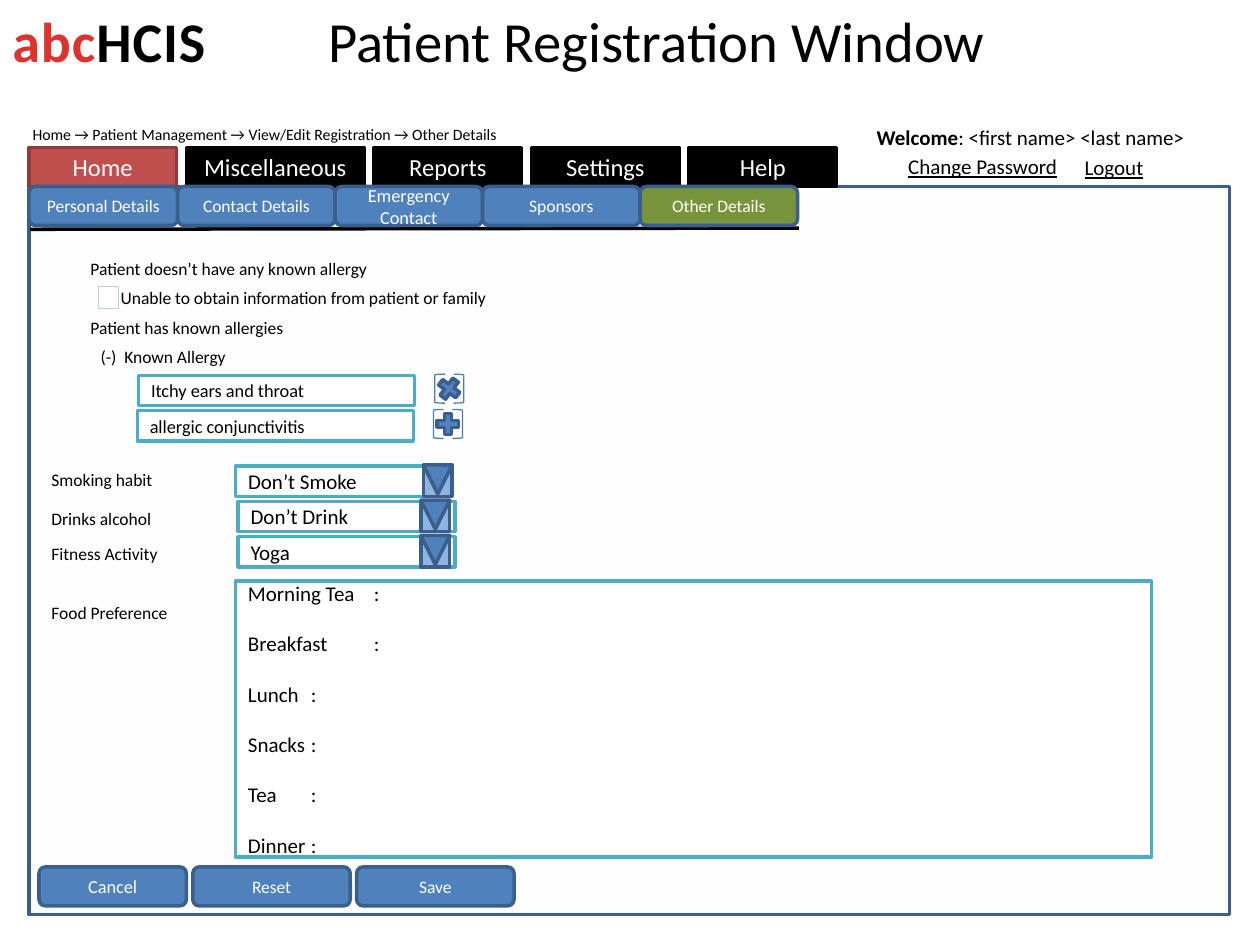
"""Build the patient registration window, open on its Other Details tab."""
from dataclasses import dataclass

from lxml import etree
from pptx import Presentation
from pptx.dml.color import RGBColor
from pptx.enum.shapes import MSO_CONNECTOR, MSO_SHAPE
from pptx.enum.text import MSO_ANCHOR, PP_ALIGN
from pptx.oxml.ns import qn
from pptx.util import Inches, Pt

RECT, ROUND = MSO_SHAPE.RECTANGLE, MSO_SHAPE.ROUNDED_RECTANGLE
PLUS, MERGE = MSO_SHAPE.MATH_PLUS, MSO_SHAPE.FLOWCHART_MERGE
LEFT_BRACKET, RIGHT_BRACKET = MSO_SHAPE.LEFT_BRACKET, MSO_SHAPE.RIGHT_BRACKET
STRAIGHT = MSO_CONNECTOR.STRAIGHT
TOP, MIDDLE = MSO_ANCHOR.TOP, MSO_ANCHOR.MIDDLE
LEFT, CENTER = PP_ALIGN.LEFT, PP_ALIGN.CENTER


@dataclass(frozen=True)
class Theme:
    font: str = "Calibri"
    black: str = "000000"
    white: str = "FFFFFF"
    panel: str = "F2F2F2"
    blue: str = "4F81BD"
    navy: str = "3A5F8C"
    sky: str = "8EB4E3"
    pale: str = "B9CDE5"
    bracket: str = "4B7EBC"
    teal: str = "4BACC6"
    red: str = "C0504D"
    dark_red: str = "8E3B39"
    green: str = "77933C"
    logo_red: str = "E0322D"
    title_size: float = 32.4
    logo_size: float = 32
    menu_size: float = 14
    entry_size: float = 12
    allergy_size: float = 10.5
    label_size: float = 10
    trail_size: float = 9


theme = Theme()


def draw(shapes, kind, at, fill, line, width=2):
    shape = shapes.add_shape(kind, *map(Inches, at))
    shape.shadow.inherit = False
    if fill:
        shape.fill.solid()
        shape.fill.fore_color.rgb = RGBColor.from_string(fill)
    else:
        shape.fill.background()
    shape.line.color.rgb = RGBColor.from_string(line)
    shape.line.width = Pt(width)
    return shape


def write(shape, text, size, color=theme.black, align=LEFT, anchor=MIDDLE, wrap=True):
    frame = shape.text_frame
    frame.word_wrap = wrap
    frame.vertical_anchor = anchor
    frame.text = text
    for paragraph in frame.paragraphs:
        paragraph.alignment = align
        for run in paragraph.runs:
            run.font.name = theme.font
            run.font.size = Pt(size)
            run.font.color.rgb = RGBColor.from_string(color)
    return frame.paragraphs[0]


presentation = Presentation()
presentation.slide_width, presentation.slide_height = Inches(10), Inches(7.5)
slide = presentation.slides.add_slide(presentation.slide_layouts[6])
shapes = slide.shapes

logo = write(shapes.add_textbox(*map(Inches, (0, 0, 2.03, 0.64))), "abc",
             theme.logo_size, theme.logo_red, anchor=TOP)
logo.add_run().text = "HCIS"
logo.runs[1].font.name = theme.font
logo.runs[1].font.size = Pt(theme.logo_size)
logo.runs[1].font.color.rgb = RGBColor.from_string(theme.black)
for run in logo.runs:
    run.font.bold = True
    run.font._element.set("spc", "50")

write(shapes.add_textbox(*map(Inches, (1.67, 0.08, 7.08, 0.47))),
      "Patient Registration Window", theme.title_size, align=CENTER)

panel = draw(shapes, RECT, (0.23, 1.48, 9.53, 5.78), theme.panel, theme.navy)
panel_color = panel._element.spPr.find(qn("a:solidFill"))[0]
etree.SubElement(panel_color, qn("a:alpha")).set("val", "4000")

welcome = write(shapes.add_textbox(*map(Inches, (6.86, 0.94, 2.67, 0.3))), "Welcome",
                theme.entry_size, anchor=TOP, wrap=False)
welcome.runs[0].font.bold = True
user_name = welcome.add_run()
user_name.text = ": <first name> <last name>"
user_name.font.name = theme.font
user_name.font.size = Pt(theme.entry_size)
user_name.font.color.rgb = RGBColor.from_string(theme.black)

for text, at in [("Change Password", (7.11, 1.17, 1.4, 0.3)), ("Logout", (8.51, 1.18, 0.67, 0.3))]:
    account_action = write(shapes.add_textbox(*map(Inches, at)), text, theme.entry_size,
                           anchor=TOP, wrap=False)
    account_action.runs[0].font.underline = True

menu_left = 0.23
for text, width in [("Home", 1.17), ("Miscellaneous", 1.41), ("Reports", 1.17),
                    ("Settings", 1.17), ("Help", 1.17)]:
    fill, line = (theme.red, theme.dark_red) if text == "Home" else (theme.black, theme.black)
    menu_item = draw(shapes, RECT, (menu_left, 1.17, width, 0.31), fill, line)
    write(menu_item, text, theme.menu_size, theme.white, CENTER)
    menu_left += width + 0.08

tab_rule = shapes.add_connector(STRAIGHT, *map(Inches, (0.24, 1.82, 6.34, 1.81)))
tab_rule.line.color.rgb = RGBColor.from_string(theme.black)
tab_rule.line.width = Pt(2)
etree.SubElement(tab_rule._element.spPr, qn("a:effectLst"))

tabs = [("Personal Details", 1.18, theme.label_size), ("Contact Details", 1.25, theme.label_size),
        ("Emergency Contact", 1.17, theme.allergy_size), ("Sponsors", 1.25, theme.label_size),
        ("Other Details", 1.25, theme.label_size)]
buttons = [("Cancel", 1.17, theme.allergy_size), ("Reset", 1.25, theme.label_size),
           ("Save", 1.25, theme.label_size)]
for items, left, top, gap in [(tabs, 0.23, 1.48, 0), (buttons, 0.31, 6.88, 0.05)]:
    for text, width, size in items:
        fill = theme.green if text == "Other Details" else theme.blue
        button = draw(shapes, ROUND, (left, top, width, 0.31), fill, theme.navy)
        write(button, text, size, theme.white, CENTER)
        left += width + gap

write(shapes.add_textbox(*map(Inches, (0.16, 0.94, 4.22, 0.25))),
      "Home → Patient Management → View/Edit Registration → Other Details",
      theme.trail_size, anchor=TOP)

draw(shapes, RECT, (0.78, 2.27, 0.16, 0.18), theme.white, theme.pale, 0.25)
for text, left, top, width in [
    ("Patient doesn’t have any known allergy", 0.62, 2, 2.97),
    ("Unable to obtain information from patient or family", 0.86, 2.23, 3.59),
    ("Patient has known allergies", 0.62, 2.47, 2.97),
    ("(-)  Known Allergy", 0.7, 2.7, 1.56),
    ("Smoking habit", 0.31, 3.67, 1.72),
    ("Drinks alcohol", 0.31, 3.98, 1.48),
    ("Fitness Activity", 0.31, 4.26, 1.48),
    ("Food Preference", 0.31, 4.73, 1.48),
]:
    write(shapes.add_textbox(*map(Inches, (left, top, width, 0.27))), text,
          theme.label_size, anchor=TOP)

for text, left, top, icon_left, icon_top, turn in [
    ("Itchy ears and throat", 1.1, 2.98, 3.45, 2.97, 37),
    ("allergic conjunctivitis", 1.09, 3.26, 3.44, 3.25, 0),
]:
    allergy = draw(shapes, RECT, (left, top, 2.19, 0.24), theme.white, theme.teal)
    write(allergy, text, theme.allergy_size)
    for bracket, offset in [(LEFT_BRACKET, 0), (RIGHT_BRACKET, 0.15)]:
        draw(shapes, bracket, (icon_left + offset, icon_top, 0.08, 0.23), None,
             theme.bracket, 0.75)
    icon = draw(shapes, PLUS, (icon_left, icon_top, 0.23, 0.23), theme.blue, theme.navy)
    icon.rotation = turn

for row, (text, left, arrow_left) in enumerate([
    ("Don’t Smoke", 1.87, 3.36), ("Don’t Drink", 1.89, 3.34), ("Yoga", 1.89, 3.34),
]):
    top = 3.7 + row * 0.28
    habit = draw(shapes, RECT, (left, top, 1.72, 0.24), theme.white, theme.teal)
    write(habit, text, theme.entry_size)
    dropdown = shapes.add_group_shape().shapes
    draw(dropdown, RECT, (arrow_left, top + 0.01, 0.23, 0.23), theme.sky, theme.navy)
    draw(dropdown, MERGE, (arrow_left, top - 0.01, 0.23, 0.23), theme.blue, theme.navy)

meals = ["Morning Tea", "Breakfast", "Lunch", "Snacks", "Tea", "Dinner"]
food = draw(shapes, RECT, (1.87, 4.61, 7.27, 2.19), theme.white, theme.teal)
write(food, "\n".join(f"{meal}\t:" for meal in meals), theme.entry_size)
for paragraph in food.text_frame.paragraphs[1:]:
    paragraph.space_before = Pt(14.4)

presentation.save("out.pptx")
